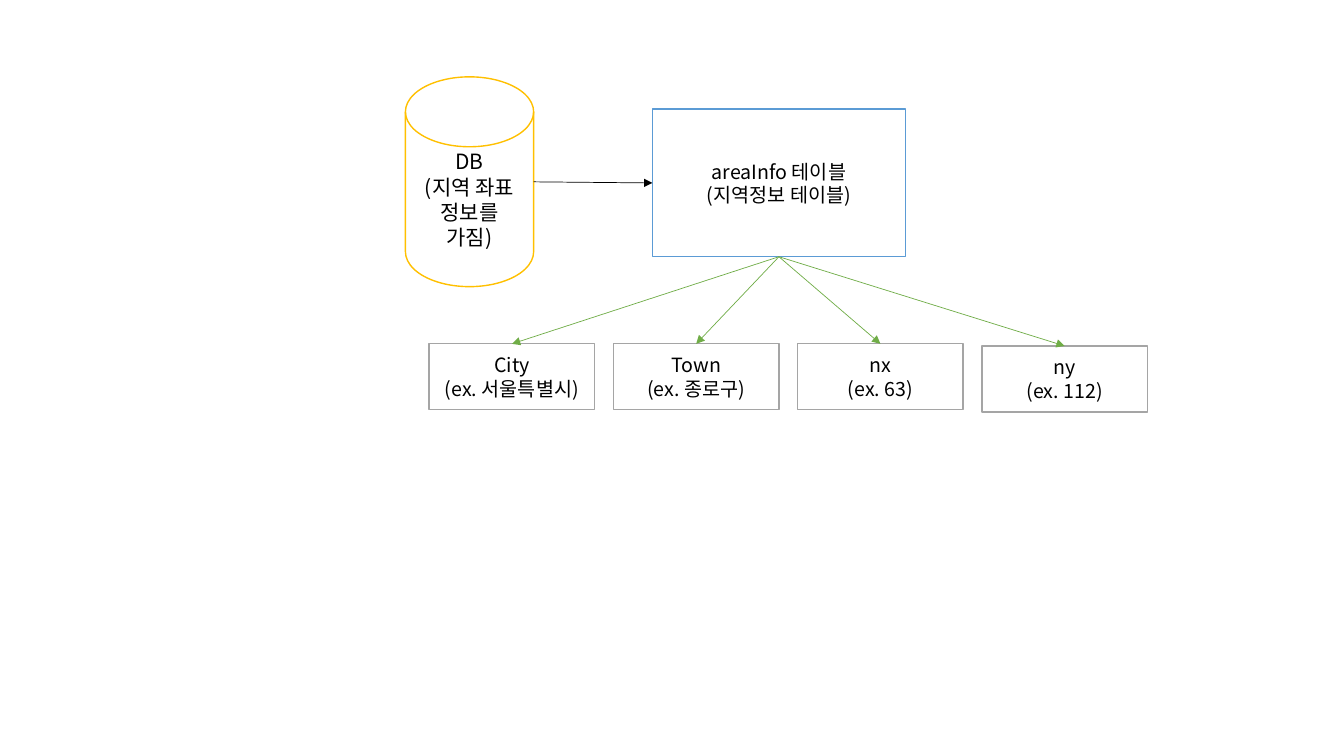
from lxml import etree
from pptx import Presentation
from pptx.dml.color import RGBColor
from pptx.enum.shapes import MSO_CONNECTOR, MSO_SHAPE
from pptx.enum.text import MSO_ANCHOR, PP_ALIGN
from pptx.oxml.ns import qn
from pptx.util import Pt

RECTANGLE = MSO_SHAPE.RECTANGLE
DISK = MSO_SHAPE.FLOWCHART_MAGNETIC_DISK
STRAIGHT = MSO_CONNECTOR.STRAIGHT
CENTER = PP_ALIGN.CENTER
MIDDLE = MSO_ANCHOR.MIDDLE
TOP_SITE, LEFT_SITE, BOTTOM_SITE = 0, 1, 2
FONT = "Noto Sans CJK KR"
COLORS = {
    "white": "FFFFFF",
    "black": "000000",
    "database": "FFC000",
    "table": "5B9BD5",
    "column": "A5A5A5",
    "arrow": "70AD47",
}

presentation = Presentation()
presentation.slide_width = Pt(960)
presentation.slide_height = Pt(540)
slide = presentation.slides.add_slide(presentation.slide_layouts[6])


def add_box(kind, left, top, width, height, color, lines, size, spacing):
    shape = slide.shapes.add_shape(kind, Pt(left), Pt(top), Pt(width), Pt(height))
    shape.shadow.inherit = False
    shape.fill.solid()
    shape.fill.fore_color.rgb = RGBColor.from_string(COLORS["white"])
    shape.line.color.rgb = RGBColor.from_string(COLORS[color])
    shape.line.width = Pt(1)
    text_frame = shape.text_frame
    text_frame.word_wrap = False
    text_frame.vertical_anchor = MIDDLE
    text_frame.text = "\n".join(lines)
    for paragraph in text_frame.paragraphs:
        paragraph.alignment = CENTER
        paragraph.line_spacing = Pt(spacing)
        for run in paragraph.runs:
            run.font.name = FONT
            run.font.size = Pt(size)
            run.font.color.rgb = RGBColor.from_string(COLORS["black"])
            # Hangul takes its typeface from the East Asian font
            east_asian = etree.SubElement(run.font._element, qn("a:ea"))
            east_asian.set("typeface", FONT)
    return shape


def add_arrow(start, end, color):
    connector = slide.shapes.add_connector(STRAIGHT, *start, *end)
    connector.line.color.rgb = RGBColor.from_string(COLORS[color])
    connector.line.width = Pt(0.5)
    line = connector.line._get_or_add_ln()
    etree.SubElement(line, qn("a:tailEnd")).set("type", "triangle")
    etree.SubElement(connector._element.spPr, qn("a:effectLst"))
    return connector


# Database and its table
database_lines = ["DB", "(지역 좌표", "정보를", "가짐)"]
add_box(DISK, 289.6, 54.9, 91.6, 149.9, "database", database_lines, 15, 18)
table_lines = ["areaInfo 테이블", "(지역정보 테이블)"]
area_table = add_box(RECTANGLE, 466, 78, 180.8, 105.4, "table", table_lines, 14, 17)
table_arrow = add_arrow((Pt(381.2), Pt(129.9)), (area_table.left, Pt(130.7)), "black")
table_arrow.end_connect(area_table, LEFT_SITE)

# Columns of the table, each with an arrow from the table
COLUMN_LEFT, COLUMN_STEP = 306.6, 131.6
columns = [
    ("City", "(ex. 서울특별시)", 245.6),
    ("Town", "(ex. 종로구)", 245.6),
    ("nx", "(ex. 63)", 245.6),
    ("ny", "(ex. 112)", 247.1),
]
for index, (name, example, top) in enumerate(columns):
    left = COLUMN_LEFT + index * COLUMN_STEP
    column = add_box(RECTANGLE, left, top, 118.2, 47.1, "column", [name, example], 14, 17)
    arrow = add_arrow((0, 0), (0, 0), "arrow")
    arrow.begin_connect(area_table, BOTTOM_SITE)
    arrow.end_connect(column, TOP_SITE)

presentation.save("out.pptx")
